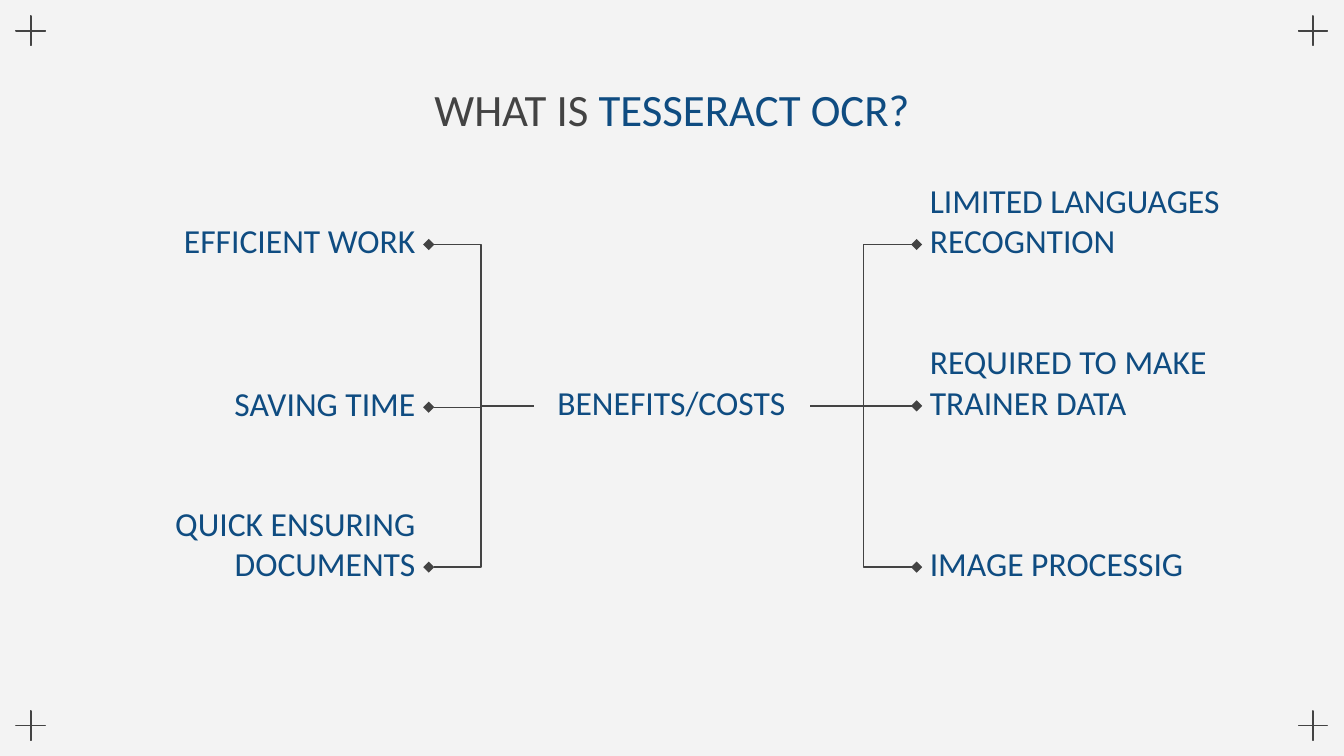
from dataclasses import dataclass
from itertools import product

from pptx import Presentation
from pptx.dml.color import RGBColor
from pptx.enum.shapes import MSO_CONNECTOR, MSO_SHAPE
from pptx.enum.text import MSO_ANCHOR, PP_ALIGN
from pptx.oxml.ns import qn
from pptx.slide import Slide
from pptx.util import Inches, Pt
from lxml import etree

ELBOW = MSO_CONNECTOR.ELBOW
PLUS = MSO_SHAPE.MATH_PLUS
TOP, BOTTOM = MSO_ANCHOR.TOP, MSO_ANCHOR.BOTTOM
LEFT, CENTER, RIGHT = PP_ALIGN.LEFT, PP_ALIGN.CENTER, PP_ALIGN.RIGHT

COLORS = {"background": "F3F3F3", "dark": "434343", "blue": "0F4C81"}
FONT = "Calibri"
SLIDE_WIDTH = 10
SLIDE_HEIGHT = SLIDE_WIDTH * 9 / 16
LINE_WIDTH = 0.75
LABEL_HEIGHT = 0.44
HUB_Y = 3.02
ROW_STEP = 1.2


@dataclass(frozen=True)
class Run:
    text: str
    color: str = "blue"


@dataclass(frozen=True)
class Label:
    left: float
    top: float
    width: float
    runs: tuple[Run, ...]
    align: PP_ALIGN
    height: float = LABEL_HEIGHT
    size: int = 18
    anchor: MSO_ANCHOR = BOTTOM


@dataclass(frozen=True)
class Branch:
    text: str
    row: int
    nudge: float = 0


@dataclass(frozen=True)
class Side:
    label_left: float
    label_width: float
    hub_x: float
    tip_x: float
    align: PP_ALIGN
    branches: tuple[Branch, ...]


SIDES = (
    Side(0.81, 2.38, 3.97, 3.19, RIGHT, (
        Branch("EFFICIENT WORK", -1),
        Branch("SAVING TIME", 0, 0.01),
        Branch("QUICK ENSURING DOCUMENTS", 1),
    )),
    Side(6.82, 2.37, 6.03, 6.82, LEFT, (
        Branch("LIMITED LANGUAGES RECOGNTION", -1),
        Branch("REQUIRED TO MAKE TRAINER DATA", 0),
        Branch("IMAGE PROCESSIG", 1),
    )),
)
TITLE = Label(0.81, 0.51, 8.38, (Run("WHAT IS ", "dark"), Run("TESSERACT OCR?")),
              CENTER, height=0.62, size=24, anchor=TOP)
HUB = Label(3.97, HUB_Y - LABEL_HEIGHT / 2, 2.05, (Run("BENEFITS/COSTS"),), CENTER)


def color(name: str) -> RGBColor:
    return RGBColor.from_string(COLORS[name])


def draw_label(slide: Slide, label: Label) -> None:
    box = slide.shapes.add_textbox(Inches(label.left), Inches(label.top),
                                   Inches(label.width), Inches(label.height))
    text_frame = box.text_frame
    text_frame.word_wrap = True
    text_frame.vertical_anchor = label.anchor
    text_frame.margin_left = text_frame.margin_right = Inches(0.1)
    text_frame.margin_top = text_frame.margin_bottom = Inches(0.1)
    paragraph = text_frame.paragraphs[0]
    paragraph.alignment = label.align
    for part in label.runs:
        run = paragraph.add_run()
        run.text = part.text
        run.font.name = FONT
        run.font.size = Pt(label.size)
        run.font.color.rgb = color(part.color)


def draw_corner_mark(slide: Slide, left: float, top: float) -> None:
    shape = slide.shapes.add_shape(PLUS, Inches(left), Inches(top), Inches(0.3), Inches(0.3))
    shape.adjustments[0] = 0.007
    shape.shadow.inherit = False
    shape.fill.background()
    shape.line.color.rgb = color("dark")
    shape.line.width = Pt(LINE_WIDTH)


def draw_branch_line(slide: Slide, side: Side, tip_y: float) -> None:
    connector = slide.shapes.add_connector(ELBOW, Inches(side.hub_x), Inches(HUB_Y),
                                           Inches(side.tip_x), Inches(tip_y))
    connector.line.color.rgb = color("dark")
    connector.line.width = Pt(LINE_WIDTH)
    properties = connector._element.spPr
    etree.SubElement(properties.find(qn("a:ln")), qn("a:tailEnd"), type="diamond")
    etree.SubElement(properties, qn("a:effectLst"))


def draw_side(slide: Slide, side: Side) -> None:
    for branch in side.branches:
        tip_y = HUB_Y + branch.row * ROW_STEP + branch.nudge
        draw_label(slide, Label(side.label_left, tip_y - LABEL_HEIGHT / 2,
                                side.label_width, (Run(branch.text),), side.align))
        draw_branch_line(slide, side, tip_y)


def main() -> None:
    presentation = Presentation()
    presentation.slide_width = Inches(SLIDE_WIDTH)
    presentation.slide_height = Inches(SLIDE_HEIGHT)
    slide = presentation.slides.add_slide(presentation.slide_layouts[6])
    slide.background.fill.solid()
    slide.background.fill.fore_color.rgb = color("background")
    for top, left in product((0.08, 5.25), (0.08, 9.62)):
        draw_corner_mark(slide, left, top)
    draw_label(slide, TITLE)
    for side in SIDES:
        draw_side(slide, side)
    draw_label(slide, HUB)
    presentation.save("out.pptx")


if __name__ == "__main__":
    main()
